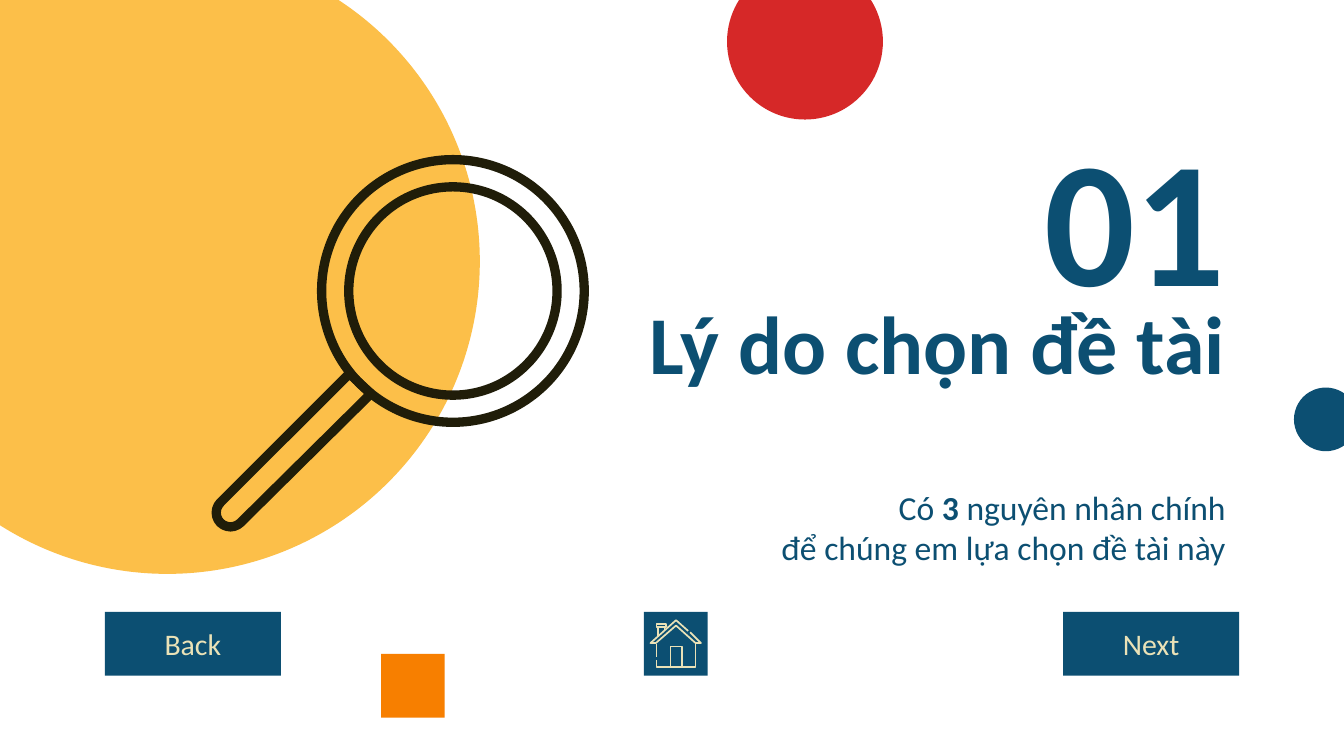
from dataclasses import dataclass
from math import cos, radians, sin

from pptx import Presentation, util as u
from pptx.dml.color import RGBColor
from pptx.enum import shapes as kinds, text as t

# Square grid: 100 columns across the slide
COLUMNS, ROWS = 100, 56.25
CELL = u.Inches(10) // COLUMNS
YELLOW, ORANGE, RED = "FCBF49", "F77F00", "D62828"
NAVY, CREAM, INK = "0C4F72", "EAE2B7", "201D09"
OVAL, RECT = kinds.MSO_SHAPE.OVAL, kinds.MSO_SHAPE.RECTANGLE
RIGHT, CENTER = t.PP_ALIGN.RIGHT, t.PP_ALIGN.CENTER
TOP, MIDDLE = t.MSO_ANCHOR.TOP, t.MSO_ANCHOR.MIDDLE

Point = tuple[float, float]


@dataclass
class Box:
    col: float
    row: float
    cols: float
    rows: float

    def emu(self) -> list[int]:
        return [grid(n) for n in (self.col, self.row, self.cols, self.rows)]


@dataclass
class Label:
    box: Box
    lines: list[list[tuple[str, bool]]]  # paragraphs of (wording, bold)
    size: int
    anchor: t.MSO_ANCHOR


def grid(cells: float) -> int:
    return round(cells * CELL)


def color(hex_value: str) -> RGBColor:
    return RGBColor.from_string(hex_value)


def paint(shape, fill: str | None = None, line: str | None = None, weight: float = 0):
    shape.shadow.inherit = False
    if fill:
        shape.fill.solid()
        shape.fill.fore_color.rgb = color(fill)
    else:
        shape.fill.background()
    if line:
        shape.line.color.rgb = color(line)
        shape.line.width = u.Pt(weight)
    else:
        shape.line.fill.background()
    return shape


def draw_shape(slide, kind, box: Box, **look):
    return paint(slide.shapes.add_shape(kind, *box.emu()), **look)


def draw_outline(slide, points: list[Point], closed: bool, line: str, weight: float):
    start, *rest = [(grid(x), grid(y)) for x, y in points]
    builder = slide.shapes.build_freeform(*start)
    builder.add_line_segments(rest, close=closed)
    return paint(builder.convert_to_shape(), line=line, weight=weight)


def write(shape, lines, size: int, hue: str, align, anchor) -> None:
    frame = shape.text_frame
    layout = dict(word_wrap=True, vertical_anchor=anchor)
    layout |= {f"margin_{side}": CELL for side in ("left", "top", "right", "bottom")}
    for name, value in layout.items():
        setattr(frame, name, value)
    for i, pieces in enumerate(lines):
        paragraph = frame.add_paragraph() if i else frame.paragraphs[0]
        paragraph.alignment = align
        for wording, bold in pieces:
            run = paragraph.add_run()
            run.text = wording
            run.font.color.rgb = color(hue)
            for name, value in dict(name="Calibri", size=u.Pt(size), bold=bold).items():
                setattr(run.font, name, value)


def draw_magnifier(slide) -> None:
    center_col, center_row = 33.7, 21.65
    for radius in (9.77, 7.75):
        lens = Box(center_col - radius, center_row - radius, 2 * radius, 2 * radius)
        draw_shape(slide, OVAL, lens, line=INK, weight=5)
    # Handle: two straight sides and a half-round tip
    tip_col, tip_row, tip_radius = 17.15, 38.15, 1.06
    tip = [(tip_col + tip_radius * cos(radians(a)), tip_row + tip_radius * sin(radians(a)))
           for a in range(225, 44, -15)]
    draw_outline(slide, [(27.6, 29.3), (26, 27.8), *tip], True, INK, 5)


def draw_house(slide) -> None:
    roof = [(51.2, 46.95), (50.3, 46.15), (48.4, 47.85), (48.8, 47.85),
            (50.3, 46.55), (51.75, 47.85), (52.15, 47.85), (51.35, 47.05)]
    walls = [(48.85, 49.1), (48.85, 49.65), (51.75, 49.65), (51.75, 47.9)]
    wall_top = [(48.85, 47.9), (48.85, 48.9)]
    door = [(49.9, 49.65), (49.9, 48.1), (50.75, 48.1), (50.75, 49.65)]
    chimney = [(48.95, 47.3), (48.95, 46.7), (49.45, 46.7), (49.45, 46.85)]
    for part in (roof, walls, wall_top, door, chimney):
        draw_outline(slide, part, False, CREAM, 0.9)
    draw_shape(slide, RECT, Box(48.85, 46.45, 0.7, 0.2), line=CREAM, weight=0.9)


def main() -> None:
    deck = Presentation()
    deck.slide_width, deck.slide_height = grid(COLUMNS), grid(ROWS)
    slide = deck.slides.add_slide(deck.slide_layouts[6])

    # Large backdrop circle
    draw_shape(slide, OVAL, Box(-10.8, -3.8, 46.5, 46.5), fill=YELLOW)

    # Section number, title and summary share one right-aligned column
    text_col, text_cols = 40.8, 51.4
    labels = [
        Label(Box(text_col, 21.3, text_cols, 8.3), [[("Lý do chọn đề tài", True)]], 44, MIDDLE),
        Label(Box(text_col, 7, text_cols, 15.5), [[("01", True)]], 96, TOP),
        Label(Box(text_col, 35.2, text_cols, 8.8),
              [[("Có ", False), ("3", True), (" nguyên nhân chính", False)],
               [("để chúng em lựa chọn đề tài này", False)]], 18, TOP),
    ]
    for label in labels:
        textbox = slide.shapes.add_textbox(*label.box.emu())
        write(textbox, label.lines, label.size, NAVY, RIGHT, label.anchor)

    draw_magnifier(slide)

    # Small accents
    small = 4.74
    draw_shape(slide, RECT, Box(28.36, 48.66, small, small), fill=ORANGE)
    draw_shape(slide, OVAL, Box(54.1, -2.7, 11.6, 11.6), fill=RED)
    draw_shape(slide, OVAL, Box(96.28, 28.84, small, small), fill=NAVY)

    # Navigation: buttons mirrored about the home tile in the middle
    nav_row, button_cols, edge = 45.53, 13.1, 7.8
    for caption, col in (("Back", edge), ("Next", COLUMNS - edge - button_cols)):
        button = draw_shape(slide, RECT, Box(col, nav_row, button_cols, small), fill=NAVY)
        write(button, [[(caption, False)]], 16, CREAM, CENTER, MIDDLE)
    draw_shape(slide, RECT, Box((COLUMNS - small) / 2 + 0.28, nav_row, small, small), fill=NAVY)
    draw_house(slide)

    deck.save("out.pptx")


if __name__ == "__main__":
    main()
